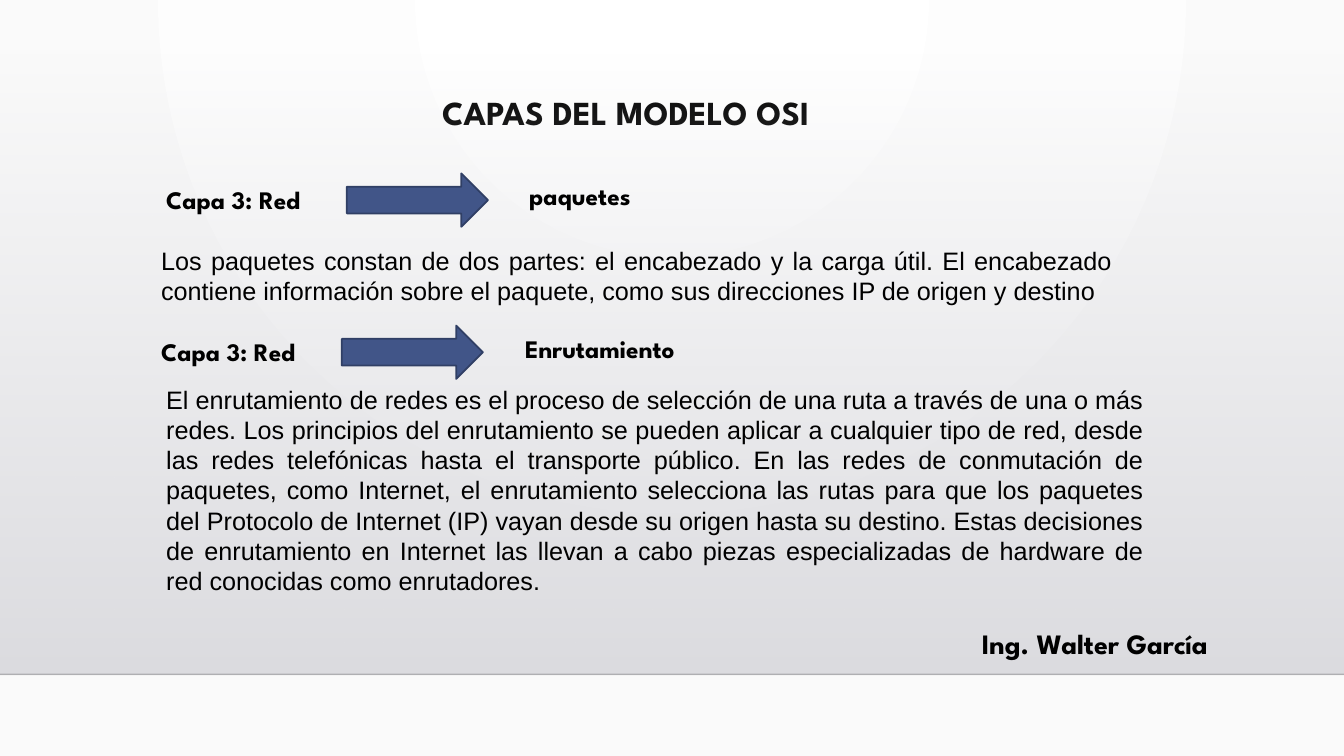
"""Build the slide on layer 3 of the OSI model."""
from dataclasses import dataclass

from lxml.etree import SubElement
from pptx import Presentation
from pptx.dml.color import RGBColor
from pptx.enum.shapes import MSO_CONNECTOR, MSO_SHAPE
from pptx.enum.text import MSO_ANCHOR, PP_ALIGN
from pptx.oxml.ns import qn
from pptx.slide import Slide
from pptx.text.text import TextFrame
from pptx.util import Emu, Pt

PX = 9144
WIDTH, HEIGHT = 1333, 750
FLOOR_TOP = 669
BLACK = RGBColor(0x00, 0x00, 0x00)
WHITE = RGBColor(0xFF, 0xFF, 0xFF)
OFF_WHITE = RGBColor(0xFA, 0xFA, 0xFA)
SHADE_TOP = RGBColor(0xDC, 0xDC, 0xE0)
SHADE_BOTTOM = RGBColor(0xDE, 0xDE, 0xE2)
ARROW_FILL = RGBColor(0x41, 0x55, 0x88)
ARROW_LINE = RGBColor(0x30, 0x3F, 0x65)
HEADING_FONT = "League Spartan"
BODY_FONT = "Arial"


@dataclass(frozen=True)
class Label:
    """A bold one-line text."""
    text: str
    left: int
    top: int
    size: int = 18
    line_spacing: float = 1.0
    space_before: int = 0


@dataclass(frozen=True)
class Arrow:
    """The top left corner of a block arrow."""
    left: int
    top: int


@dataclass(frozen=True)
class Passage:
    """A justified paragraph."""
    text: str
    left: int
    top: int
    width: int
    height: int


LABELS = [
    Label("Capa 3: Red", 155, 178),
    Label("paquetes", 515, 174),
    Label("Capa 3: Red", 150, 329),
    Label("Enrutamiento", 511, 326),
    Label("Ing. Walter García", 964, 620, 20, 0.9, 14),
]
ARROWS = [Arrow(344, 172), Arrow(339, 323)]
PASSAGES = [
    Passage(
        "Los paquetes constan de dos partes: el encabezado y la carga útil. "
        "El encabezado contiene información sobre el paquete, como "
        "sus direcciones IP de origen y destino",
        150, 238, 963, 71),
    Passage(
        "El enrutamiento de redes es el proceso de selección de una ruta a "
        "través de una o más redes. Los principios del enrutamiento se pueden "
        "aplicar a cualquier tipo de red, desde las redes telefónicas hasta el "
        "transporte público. En las redes de conmutación de paquetes, como "
        "Internet, el enrutamiento selecciona las rutas para que los paquetes "
        "del Protocolo de Internet (IP) vayan desde su origen hasta su destino. "
        "Estas decisiones de enrutamiento en Internet las llevan a cabo piezas "
        "especializadas de hardware de red conocidas como enrutadores.",
        155, 376, 989, 192),
]


def px(*lengths: int) -> list[Emu]:
    """Turn pixels into EMU."""
    return [Emu(length * PX) for length in lengths]


def set_alpha(color, percent: int) -> None:
    """Give a colour element an opacity."""
    SubElement(color, qn("a:alpha")).set("val", str(percent * 1000))


def paint_background(page: Slide) -> None:
    """Fill the page with a radial gradient."""
    fill = page.background.fill
    fill.gradient()
    for stop, color in zip(fill.gradient_stops, (WHITE, OFF_WHITE)):
        stop.color.rgb = color
    linear = next(page.element.iter(qn("a:lin")))
    gradient = linear.getparent()
    gradient.remove(linear)
    radial = SubElement(gradient, qn("a:path"))
    radial.set("path", "circle")
    focus = SubElement(radial, qn("a:fillToRect"))
    for side, share in zip("ltrb", (43, 0, 43, 100)):
        focus.set(side, str(share * 1000))


def add_shade(page: Slide) -> None:
    """Add the fading shade and the line under it."""
    shade_top = 51
    shade = page.shapes.add_shape(
        MSO_SHAPE.RECTANGLE, *px(0, shade_top, WIDTH, FLOOR_TOP - shade_top))
    shade.shadow.inherit = False
    shade.line.fill.background()
    shade.fill.gradient()
    shade.fill.gradient_angle = 270
    for stop, color in zip(shade.fill.gradient_stops, (SHADE_TOP, SHADE_BOTTOM)):
        stop.color.rgb = color
    stops = shade.element.spPr.iter(qn("a:srgbClr"))
    for color, percent in zip(list(stops), (0, 100)):
        set_alpha(color, percent)

    floor = page.shapes.add_connector(
        MSO_CONNECTOR.STRAIGHT, *px(0, FLOOR_TOP, WIDTH, FLOOR_TOP))
    floor.line.width = Pt(1)
    floor.line.color.rgb = BLACK
    properties = floor.element.spPr
    set_alpha(next(properties.iter(qn("a:srgbClr"))), 20)
    SubElement(properties, qn("a:effectLst"))


def write(frame: TextFrame, text: str, font: str, size: int, bold: bool,
          alignment: PP_ALIGN, line_spacing: float = 1.0,
          space_before: int = 0) -> None:
    """Write one formatted paragraph into a frame."""
    frame.word_wrap = True
    paragraph = frame.paragraphs[0]
    paragraph.text = text
    paragraph.alignment = alignment
    paragraph.line_spacing = line_spacing
    paragraph.space_before = Pt(space_before)
    paragraph.font.name = font
    paragraph.font.size = Pt(size)
    paragraph.font.bold = bold
    paragraph.font.color.rgb = BLACK


def set_title(page: Slide) -> None:
    """Place and format the title."""
    title = page.shapes.title
    title.left, title.top, title.width, title.height = px(190, 70, 861, 66)
    title.text_frame.vertical_anchor = MSO_ANCHOR.BOTTOM
    write(title.text_frame, "CAPAS DEL MODELO OSI", HEADING_FONT, 24, True,
          PP_ALIGN.CENTER, 0.85)


def add_label(page: Slide, label: Label) -> None:
    """Add a bold label."""
    box = page.shapes.add_textbox(*px(label.left, label.top, 329, 40))
    write(box.text_frame, label.text, HEADING_FONT, label.size, True,
          PP_ALIGN.LEFT, label.line_spacing, label.space_before)


def add_arrow(page: Slide, arrow: Arrow) -> None:
    """Add a block arrow that points right."""
    shape = page.shapes.add_shape(
        MSO_SHAPE.RIGHT_ARROW, *px(arrow.left, arrow.top, 140, 53))
    shape.shadow.inherit = False
    shape.fill.solid()
    shape.fill.fore_color.rgb = ARROW_FILL
    shape.line.color.rgb = ARROW_LINE
    shape.line.width = Pt(1.25)


def add_passage(page: Slide, passage: Passage) -> None:
    """Add a justified passage."""
    box = page.shapes.add_textbox(
        *px(passage.left, passage.top, passage.width, passage.height))
    write(box.text_frame, passage.text, BODY_FONT, 18, False, PP_ALIGN.JUSTIFY)


def main() -> None:
    """Build and save the deck."""
    deck = Presentation()
    deck.slide_width, deck.slide_height = px(WIDTH, HEIGHT)
    page = deck.slides.add_slide(deck.slide_layouts.get_by_name("Title Only"))
    paint_background(page)
    add_shade(page)
    set_title(page)
    for label in LABELS:
        add_label(page, label)
    for arrow in ARROWS:
        add_arrow(page, arrow)
    for passage in PASSAGES:
        add_passage(page, passage)
    deck.save("out.pptx")


if __name__ == "__main__":
    main()
